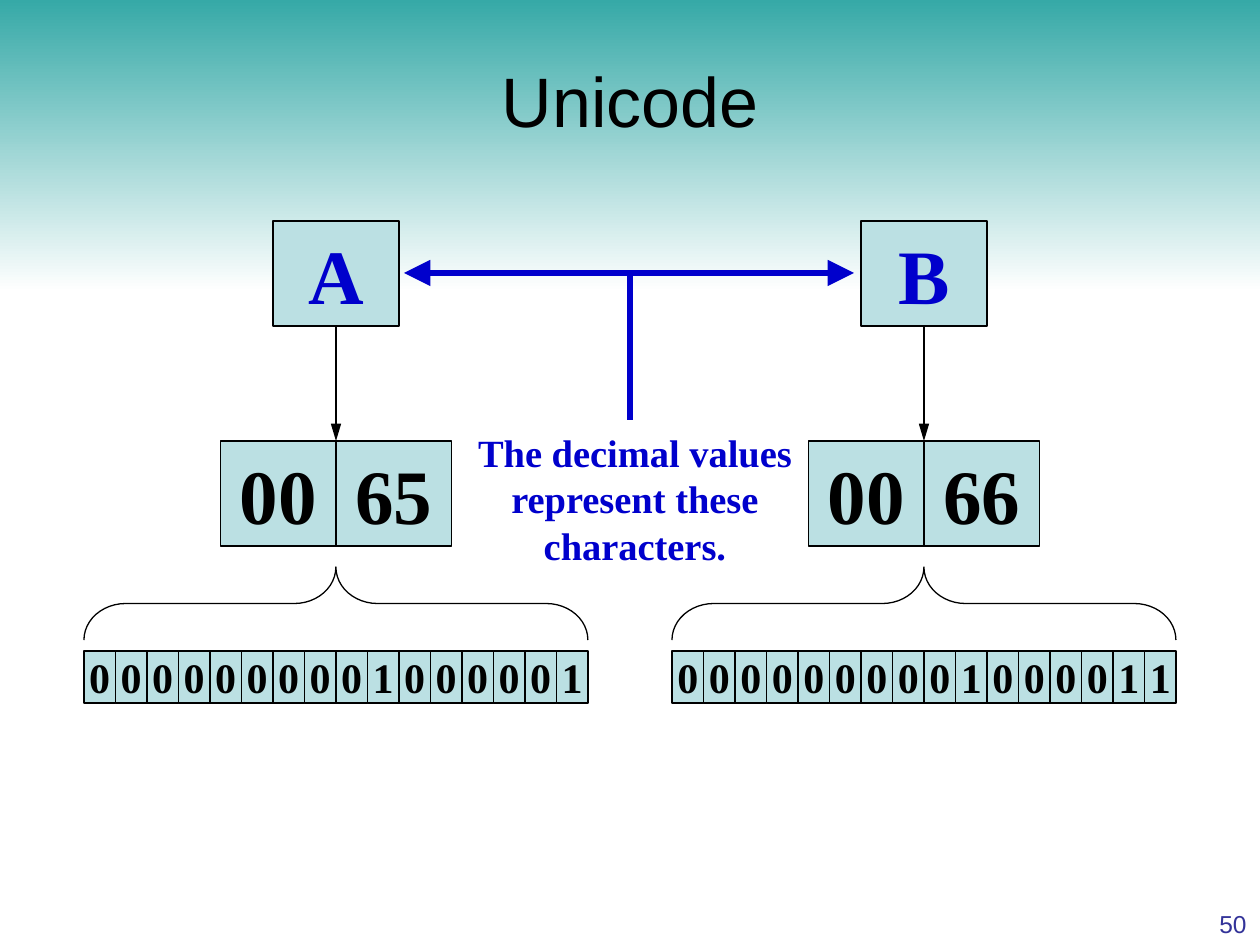
from pptx import Presentation, util as u
from pptx.dml.color import RGBColor
from pptx.enum import shapes, text
from pptx.oxml.ns import qn
from lxml import etree

TITLE = "Unicode"
PAGE = "50"
NOTE = ["The decimal values", "represent these", "characters."]
CHARS = [
    {"char": "A", "bytes": ["00", "65"], "bits": "0000000001000001", "mid": 336},
    {"char": "B", "bytes": ["00", "66"], "bits": "0000000001000011", "mid": 924},
]
THEME = {
    "teal": "36A9A7", "white": "FFFFFF", "cell": "BBE0E3",
    "ink": "000000", "blue": "0000CC", "navy": "333399",
    "sans": "Arial", "serif": "Times New Roman",
    "title": 40, "big": 44, "bit": 24, "note": 22, "page": 14,
}
WIDE, HIGH = 1260, 945
SPAN = 504  # width of a bit row and its brace
AXIS = 273  # height of the double arrow


def px(n):
    return u.Emu(round(n * 914400 / 126))


def rgb(name):
    return RGBColor.from_string(THEME[name])


def write(shape, lines, size, font, color, bold=False,
          align=text.PP_ALIGN.CENTER, anchor=text.MSO_ANCHOR.MIDDLE):
    frame = shape.text_frame
    frame.text = "\n".join(lines)
    frame.vertical_anchor = anchor
    frame.word_wrap = False
    for para in frame.paragraphs:
        para.alignment = align
        for run in para.runs:
            run.font.size = u.Pt(THEME[size])
            run.font.name = THEME[font]
            run.font.color.rgb = rgb(color)
            run.font.bold = bold


def add_cell(slide, x, y, w, h, label, size, color):
    cell = slide.shapes.add_shape(
        shapes.MSO_SHAPE.RECTANGLE, px(x), px(y), px(w), px(h))
    cell.shadow.inherit = False
    cell.fill.solid()
    cell.fill.fore_color.rgb = rgb("cell")
    cell.line.color.rgb = rgb("ink")
    cell.line.width = u.Pt(0.75)
    write(cell, [label], size, "serif", color, True)
    return cell


def add_row(slide, mid, y, w, h, labels, size):
    """Place equal cells side by side, centred on mid."""
    step = w / len(labels)
    return [add_cell(slide, mid - w / 2 + i * step, y, step, h, label, size, "ink")
            for i, label in enumerate(labels)]


def add_line(slide, start, end, color, width, ends=(), head="med"):
    line = slide.shapes.add_connector(
        shapes.MSO_CONNECTOR.STRAIGHT, *map(px, start + end))
    line.line.color.rgb = rgb(color)
    line.line.width = u.Pt(width)
    for tag in ends:
        etree.SubElement(line.line._get_or_add_ln(), qn(tag),
                         type="triangle", w=head, len="lg")
    etree.SubElement(line._element.spPr, qn("a:effectLst"))
    return line


def add_brace(slide, mid, y, w, h):
    """Draw a brace that points up, as a right brace on its side."""
    brace = slide.shapes.add_shape(
        shapes.MSO_SHAPE.RIGHT_BRACE,
        px(mid - h / 2), px(y + h / 2 - w / 2), px(h), px(w))
    brace.rotation = 270
    brace.adjustments[0] = 0.57
    brace.shadow.inherit = False
    brace.fill.background()
    brace.line.color.rgb = rgb("ink")
    brace.line.width = u.Pt(0.75)


def add_band(slide):
    band = slide.shapes.add_shape(
        shapes.MSO_SHAPE.RECTANGLE, 0, 0, px(WIDE), px(292))
    band.shadow.inherit = False
    band.line.fill.background()
    band.fill.gradient()
    band.fill.gradient_angle = 270
    for stop, name, place in zip(band.fill.gradient_stops, ("teal", "white"), (0, 1)):
        stop.color.rgb = rgb(name)
        stop.position = place
    slide.shapes._spTree.insert(2, band._element)


def add_char(slide, item):
    mid = item["mid"]
    box = add_cell(slide, mid - 63, 221, 126, 105, item["char"], "big", "blue")
    add_row(slide, mid, 441, 231, 105, item["bytes"], "big")
    arrow = add_line(slide, (mid, 326), (mid, 441), "ink", 1.5, ["a:tailEnd"])
    arrow.begin_connect(box, 2)


def add_bits(slide, item):
    """Add a row of bits, its last cell stacked below the one before."""
    cells = add_row(slide, item["mid"], 651, SPAN, 52, item["bits"], "bit")
    cells[-2]._element.addprevious(cells[-1]._element)


def main():
    deck = Presentation()
    deck.slide_width, deck.slide_height = px(WIDE), px(HIGH)
    slide = deck.slides.add_slide(deck.slide_layouts[5])
    add_band(slide)

    page = slide.shapes.add_textbox(*map(px, (1164, 903, 95, 42)))
    write(page, [PAGE], "page", "sans", "navy",
          align=text.PP_ALIGN.RIGHT, anchor=text.MSO_ANCHOR.BOTTOM)

    title = slide.shapes.title
    title.left, title.top, title.width, title.height = map(px, (0, 31, WIDE, 137))
    write(title, [TITLE], "title", "sans", "ink")

    for item in CHARS:
        add_char(slide, item)
    for item in CHARS:
        add_bits(slide, item)
    for item in CHARS:
        add_brace(slide, item["mid"], 567, SPAN, 73)

    note = slide.shapes.add_textbox(*map(px, (465, 423, 340, 151)))
    write(note, NOTE, "note", "serif", "blue", True, anchor=text.MSO_ANCHOR.TOP)
    add_line(slide, (630, AXIS), (630, 420), "blue", 3)
    add_line(slide, (404, AXIS), (854, AXIS), "blue", 3,
             ["a:headEnd", "a:tailEnd"], "lg")
    deck.save("out.pptx")


if __name__ == "__main__":
    main()
